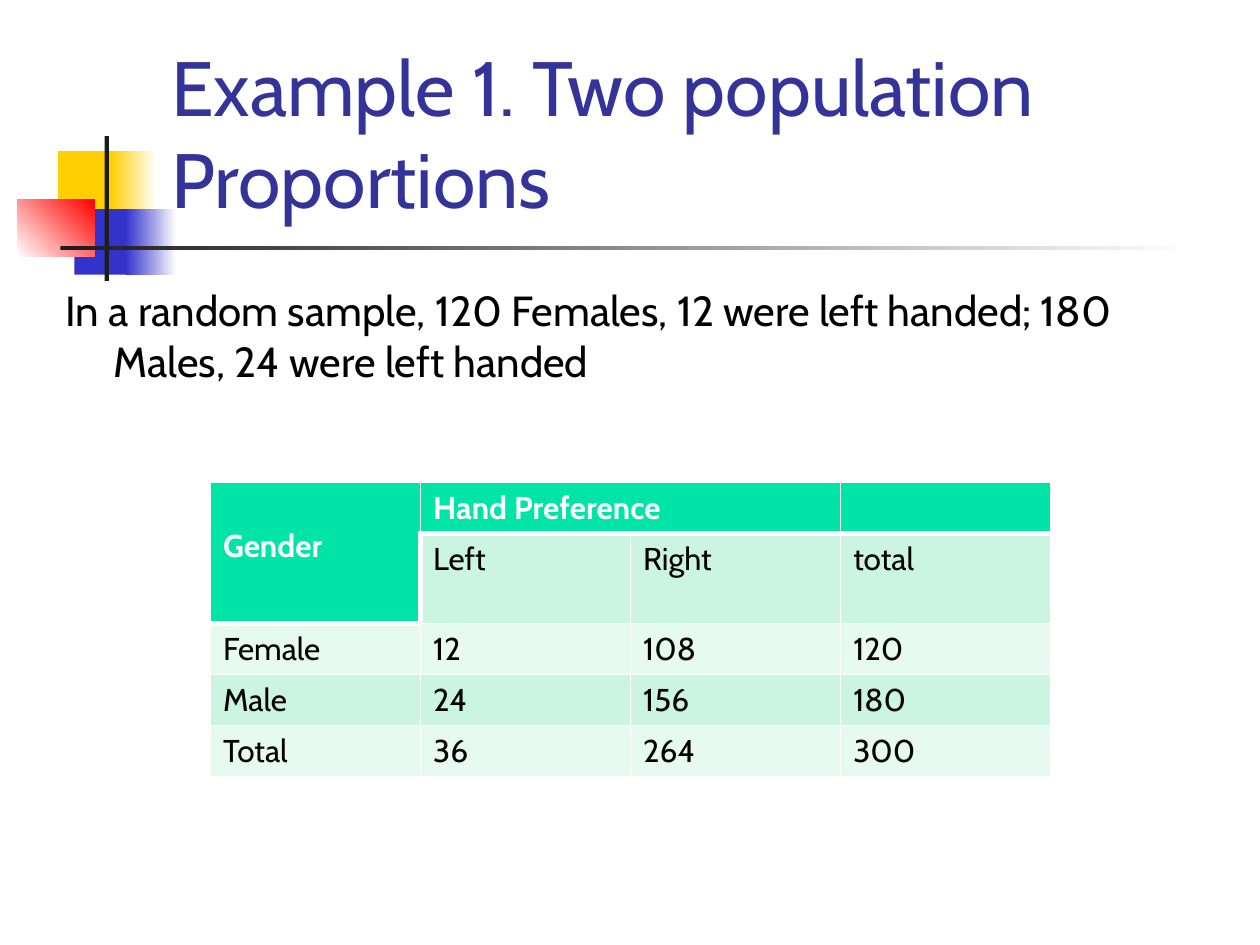
from dataclasses import dataclass

from lxml import etree
from pptx import Presentation
from pptx import util as u
from pptx.dml.color import RGBColor
from pptx.enum import shapes, text
from pptx.oxml.ns import qn


@dataclass(frozen=True)
class Theme:
    font: str = "Cabin"
    title_size: int = 44
    body_size: int = 24
    table_size: int = 18
    title: str = "333399"
    ink: str = "000000"
    white: str = "FFFFFF"
    yellow: str = "FFCF01"
    blue: str = "3333CC"
    red: str = "FF0000"
    charcoal: str = "1C1C1C"
    heading: str = "00E4A8"
    bands: tuple = ("E7FAF1", "CBF5E1")
    thin: int = 1
    thick: int = 3


theme = Theme()
presentation = Presentation()
presentation.slide_width = u.Inches(10)
presentation.slide_height = u.Inches(7.5)
slide = presentation.slides.add_slide(presentation.slide_layouts[1])


def place(left, top, width, height):
    """Turn percentages of the slide's width and height into lengths."""
    column = presentation.slide_width / 100
    row = presentation.slide_height / 100
    return [u.Emu(round(length)) for length in
            (left * column, top * row, width * column, height * row)]


def write(frame, words, size, color, bold=False):
    frame.word_wrap = True
    paragraph = frame.paragraphs[0]
    paragraph.alignment = text.PP_ALIGN.LEFT
    run = paragraph.add_run()
    run.text = words
    run.font.name = theme.font
    run.font.size = u.Pt(size)
    run.font.bold = bold
    run.font.color.rgb = RGBColor.from_string(color)
    return paragraph


# Ornament: box in percent, colours from start to end, gradient angle
ornament = [
    ((4.6, 16, 4.8, 6.93), [theme.yellow], 0),
    ((8.8, 16, 3.6, 6.93), [theme.yellow, theme.white], 0),
    ((5.9, 22.13, 4.6, 6.93), [theme.blue], 0),
    ((10, 22.13, 4, 6.93), [theme.blue, theme.white], 0),
    ((1.4, 21.07, 6.1, 6.13), [theme.white, theme.red], 45),
    ((8.3, 14.4, 0.35, 15.33), [theme.charcoal], 0),
    ((4.8, 26, 90, 0.5), [theme.charcoal, theme.white], 0),
]
for index, (box, colors, angle) in enumerate(ornament):
    shape = slide.shapes.add_shape(shapes.MSO_SHAPE.RECTANGLE, *place(*box))
    shape.shadow.inherit = False
    shape.line.fill.background()
    if len(colors) == 1:
        shape.fill.solid()
        shape.fill.fore_color.rgb = RGBColor.from_string(colors[0])
    else:
        shape.fill.gradient()
        shape.fill.gradient_angle = angle
        for stop, position, color in zip(shape.fill.gradient_stops, (0, 1), colors):
            stop.position = position
            stop.color.rgb = RGBColor.from_string(color)
    # The ornament lies behind the placeholders
    slide.shapes.element.insert(2 + index, shape.element)

# Title and body
title = slide.shapes.title
title.left, title.top, title.width, title.height = place(12.6, 3.07, 85.2, 21.33)
title.text_frame.vertical_anchor = text.MSO_ANCHOR.BOTTOM
title.text_frame.auto_size = text.MSO_AUTO_SIZE.NONE
write(title.text_frame, "Example 1. Two population Proportions",
      size=theme.title_size, color=theme.title)

body = slide.placeholders[1]
body.left, body.top, body.width, body.height = place(4.2, 29.47, 93.8, 60)
body.text_frame.auto_size = text.MSO_AUTO_SIZE.NONE
paragraph = write(
    body.text_frame,
    "In a random sample, 120 Females, 12 were left handed; 180 Males, 24 were left handed",
    size=theme.body_size, color=theme.ink)
paragraph.space_before = u.Pt(0)
properties = paragraph._p.get_or_add_pPr()
properties.set("marL", str(u.Inches(0.38)))
properties.set("indent", str(-u.Inches(0.38)))
etree.SubElement(properties, qn("a:buNone"))

# Table
rows = [
    ["Gender", "Hand Preference", "", ""],
    ["", "Left", "Right", "total"],
    ["Female", "12", "108", "120"],
    ["Male", "24", "156", "180"],
    ["Total", "36", "264", "300"],
]
heading_cells = {(0, 0), (0, 1), (0, 2), (0, 3), (1, 0)}
row_shares = [5.4, 9.5, 5.4, 5.4, 5.4]
frame = slide.shapes.add_table(len(rows), len(rows[0]),
                               *place(16.7, 51.07, 66.7, sum(row_shares)))
table = frame.table
for table_row, share in zip(table.rows, row_shares):
    table_row.height = place(0, 0, 0, share)[3]
table.cell(0, 0).merge(table.cell(1, 0))
table.cell(0, 1).merge(table.cell(0, 2))

for r, values in enumerate(rows):
    for c, value in enumerate(values):
        cell = table.cell(r, c)
        is_heading = (r, c) in heading_cells
        below = r + (cell.span_height if cell.is_merge_origin else 1)
        neighbours = {"L": (r, c - 1), "R": (r, c + 1), "T": (r - 1, c), "B": (below, c)}
        for side, (near_row, near_column) in neighbours.items():
            inside = 0 <= near_row < len(rows) and 0 <= near_column < len(values)
            # Headings are parted from the data by a thick line
            parted = inside and is_heading != ((near_row, near_column) in heading_cells)
            width = theme.thick if parted else theme.thin
            border = etree.SubElement(cell._tc.get_or_add_tcPr(), qn(f"a:ln{side}"),
                                      w=str(u.Pt(width)))
            fill = etree.SubElement(border, qn("a:solidFill"))
            etree.SubElement(fill, qn("a:srgbClr"), val=theme.white)
        cell.fill.solid()
        cell.fill.fore_color.rgb = RGBColor.from_string(
            theme.heading if is_heading else theme.bands[r % 2])
        if value:
            write(cell.text_frame, value, size=theme.table_size, bold=is_heading,
                  color=theme.white if is_heading else theme.ink)
table.cell(0, 0).margin_top = u.Inches(0.35)

presentation.save("out.pptx")
